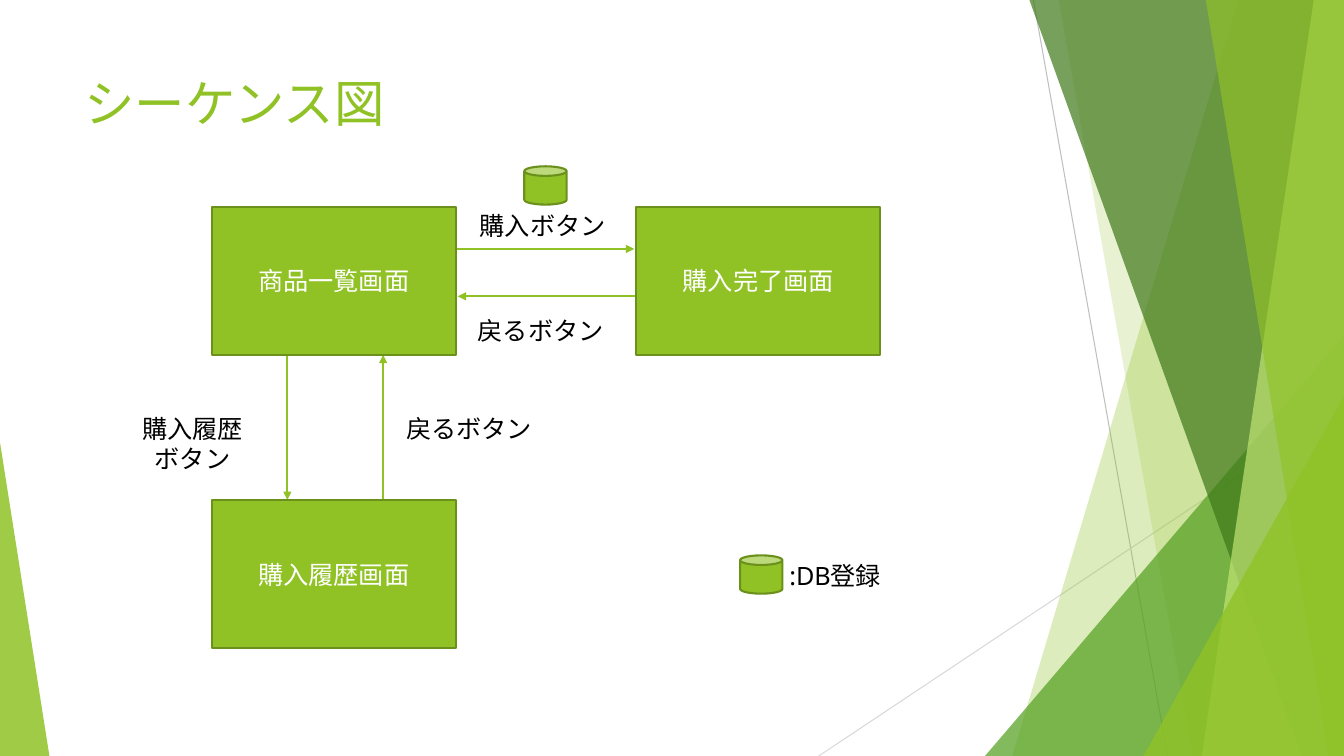
from pptx import Presentation
from pptx.dml.color import RGBColor
from pptx.enum.shapes import MSO_CONNECTOR, MSO_SHAPE
from pptx.enum.text import MSO_ANCHOR, PP_ALIGN
from pptx.oxml.ns import qn
from pptx.util import Inches, Pt
from lxml import etree

LIME = RGBColor(0x90, 0xC2, 0x26)
OLIVE = RGBColor(0x6B, 0x90, 0x1C)
GREEN = RGBColor(0x54, 0xA0, 0x21)
FOREST = RGBColor(0x3F, 0x78, 0x19)
PALE = RGBColor(0xC0, 0xE4, 0x74)
GREY = RGBColor(0xBF, 0xBF, 0xBF)
LIGHT_GREY = RGBColor(0xD9, 0xD9, 0xD9)
WHITE = RGBColor(0xFF, 0xFF, 0xFF)
BLACK = RGBColor(0x00, 0x00, 0x00)
FONT = "Noto Sans"
STRAIGHT = MSO_CONNECTOR.STRAIGHT
RECT, CAN, TRIANGLE = MSO_SHAPE.RECTANGLE, MSO_SHAPE.CAN, MSO_SHAPE.ISOSCELES_TRIANGLE
LEFT, CENTER = PP_ALIGN.LEFT, PP_ALIGN.CENTER
TOP, MIDDLE = MSO_ANCHOR.TOP, MSO_ANCHOR.MIDDLE

WIDTH, HEIGHT = 13.33, 7.5
# Screen grid: two columns and two rows of equal boxes
BOX_W, BOX_H = 2.42, 1.47
COLS = [2.1 + 4.21 * i for i in range(2)]
ROWS = [2.05 + 2.91 * i for i in range(2)]
LABEL_W, LABEL_H = 1.54, 0.4

prs = Presentation()
prs.slide_width, prs.slide_height = Inches(WIDTH), Inches(HEIGHT)
slide = prs.slides.add_slide(prs.slide_layouts[6])
shapes = slide.shapes


def write(text, box=None, at=None, size=18, color=BLACK, align=LEFT, anchor=TOP):
    """Put text into a shape, or into a new text box placed at the given lengths."""
    frame = (box or shapes.add_textbox(*map(Inches, at))).text_frame
    frame.word_wrap = True
    frame.vertical_anchor = anchor
    frame.text = text
    for paragraph in frame.paragraphs:
        paragraph.alignment = align
        for run in paragraph.runs:
            run.font.name, run.font.size = FONT, Pt(size)
            run.font.color.rgb = color
            etree.SubElement(run.font._element, qn("a:ea"), typeface=FONT)


def paint(shape, color, opacity=100, outline=None):
    """Fill a shape, with an optional transparency and outline."""
    shape.shadow.inherit = False
    shape.fill.solid()
    shape.fill.fore_color.rgb = color
    if opacity < 100:
        solid = shape._element.spPr.find(qn("a:solidFill"))
        etree.SubElement(solid[0], qn("a:alpha"), val=str(opacity * 1000))
    if outline:
        shape.line.color.rgb, shape.line.width = outline, Pt(1.5)
    else:
        shape.line.fill.background()


# Lines: two thin background lines, then the arrows are added further down
background_lines = [(10.25, 0, 11.58, HEIGHT, GREY, 0.75, False),
                    (WIDTH, 4.03, 8.12, HEIGHT, LIGHT_GREY, 0.75, False)]
right_of_list, below_list = COLS[0] + BOX_W, ROWS[0] + BOX_H
down_x, up_x = COLS[0] + 0.75, COLS[0] + 1.7
forward_y, back_y = ROWS[0] + 0.42, ROWS[0] + 0.89
arrows = [(x1, y1, x2, y2, LIME, 1.5, True) for x1, y1, x2, y2 in [
    (right_of_list, forward_y, COLS[1] - 0.02, forward_y),
    (COLS[1], back_y, right_of_list + 0.02, back_y),
    (down_x, below_list, down_x, ROWS[1]),
    (up_x, ROWS[1], up_x, below_list)]]
for x1, y1, x2, y2, color, weight, arrowhead in background_lines + arrows:
    line = shapes.add_connector(STRAIGHT, *map(Inches, (x1, y1, x2, y2)))
    line.line.color.rgb, line.line.width = color, Pt(weight)
    if arrowhead:
        etree.SubElement(line.line._get_or_add_ln(), qn("a:tailEnd"), type="triangle")
    etree.SubElement(line._element.spPr, qn("a:effectLst"))

# Facets: bands (top x, bottom x) run to the right edge, wedges (left, top, tip) to the bottom
facets = [((12.28, 10.04), LIME, 30), ((10.5, 11.83), LIME, 20),
          ((9.77, 3.33, 1), GREEN, 72), ((10.21, 12.91), FOREST, 70),
          ((13.03, 11.92), PALE, 70), ((11.96, 13.18), LIME, 65),
          ((11.34, 3.93, 1), LIME, 80), ((0, 4.39, 0), LIME, 85)]
for outline, color, opacity in facets:
    if len(outline) == 2:
        top_x, bottom_x = map(Inches, outline)
        band = shapes.build_freeform(top_x, 0)
        band.add_line_segments([(Inches(WIDTH), 0), (Inches(WIDTH), Inches(HEIGHT)),
                                (bottom_x, Inches(HEIGHT))], close=True)
        facet = band.convert_to_shape()
    else:
        left, top, tip = outline
        right = WIDTH if tip else 0.49
        facet = shapes.add_shape(TRIANGLE, *map(Inches, (left, top, right - left, HEIGHT - top)))
        facet.adjustments[0] = tip
    paint(facet, color, opacity)

# Title
write("シーケンス図", at=(0.74, 0.67, 9.4, 1.44), size=36, color=LIME)

# Screens
for name, col, row in [("商品一覧画面", 0, 0), ("購入完了画面", 1, 0), ("購入履歴画面", 0, 1)]:
    screen = shapes.add_shape(RECT, *map(Inches, (COLS[col], ROWS[row], BOX_W, BOX_H)))
    paint(screen, LIME, outline=OLIVE)
    write(name, box=screen, color=WHITE, align=CENTER, anchor=MIDDLE)

# Database symbols: on the purchase step and in the legend
for left, top in [(5.2, 1.65), (7.34, 5.51)]:
    database = shapes.add_shape(CAN, *map(Inches, (left, top, 0.42, 0.38)))
    paint(database, LIME, outline=OLIVE)

# Button labels and legend
for label, left, top, align in [("購入ボタン", 4.66, 2.04, LEFT),
                                ("戻るボタン", 4.64, 3.08, LEFT),
                                ("戻るボタン", 3.93, 4.05, LEFT),
                                ("購入履歴\nボタン", 1.14, 4.05, CENTER),
                                (":DB登録", 7.73, 5.51, LEFT)]:
    height = LABEL_H + 0.31 * label.count("\n")
    write(label, at=(left, top, LABEL_W, height), align=align)

prs.save("out.pptx")
